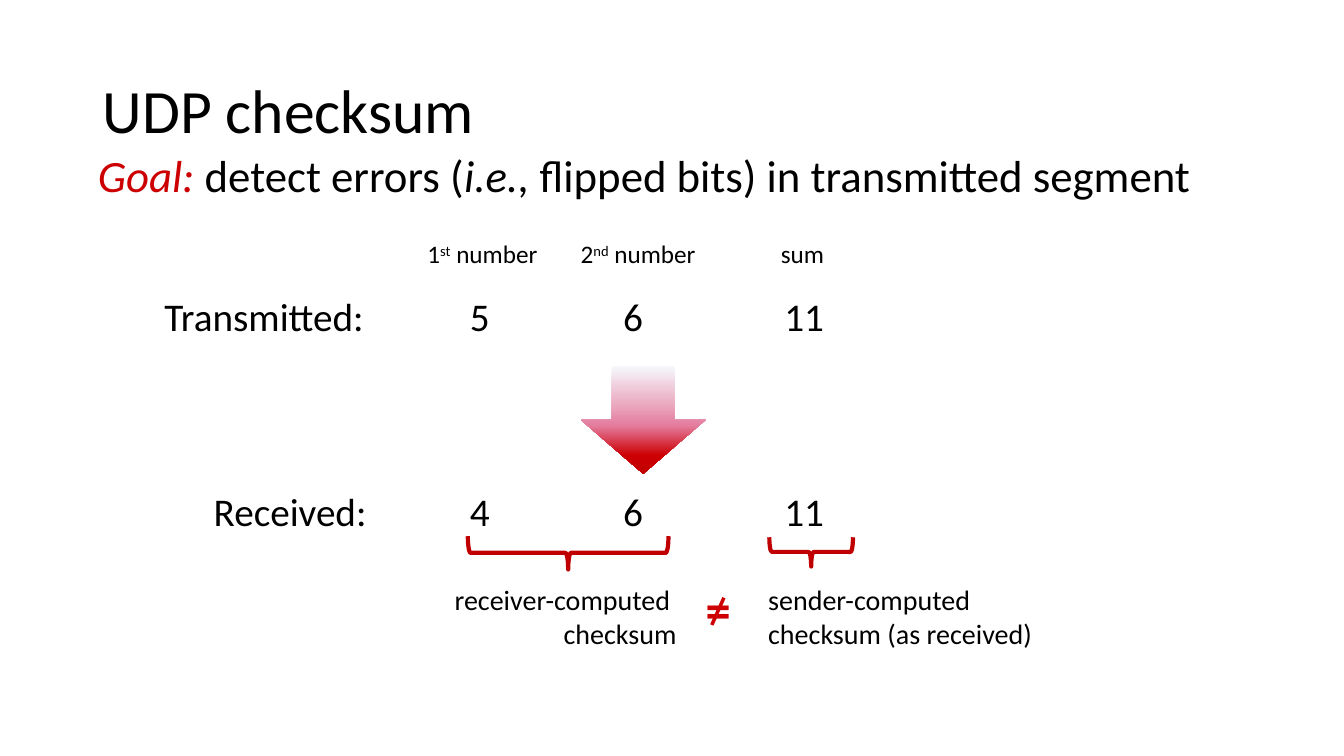
"""Build the UDP checksum slide."""
from lxml import etree
from pptx import Presentation
from pptx.dml.color import RGBColor
from pptx.enum.shapes import MSO_CONNECTOR, MSO_SHAPE
from pptx.enum.text import MSO_ANCHOR, MSO_AUTO_SIZE, PP_ALIGN
from pptx.oxml.ns import qn
from pptx.util import Inches, Pt

BLACK = RGBColor(0, 0, 0)
GOAL = RGBColor(0xCC, 0, 0)
RED = RGBColor(0xCD, 0, 0x04)
BRACE = RGBColor(0xC0, 0, 0)
FADE = [(0, RGBColor(0xF6, 0xF8, 0xFC)), (55, RGBColor(0xE4, 0x7E, 0x9F)),
        (83, RED), (100, BRACE)]
LEFT, RIGHT = PP_ALIGN.LEFT, PP_ALIGN.RIGHT
STRAIGHT = MSO_CONNECTOR.STRAIGHT
NONE, GROW = MSO_AUTO_SIZE.NONE, MSO_AUTO_SIZE.SHAPE_TO_FIT_TEXT


def write(frame, paras, size, color=BLACK, align=LEFT, **form):
    for i, runs in enumerate(paras):
        para = frame.paragraphs[0] if i == 0 else frame.add_paragraph()
        para.alignment = align
        for name, value in form.items():
            setattr(para, name, value)
        for text, extra in runs:
            run = para.add_run()
            run.text = text
            run.font.color.rgb = color
            look = {"name": "Calibri", "size": Pt(size), **extra}
            for name, value in look.items():
                if name == "color":
                    run.font.color.rgb = value
                elif name == "base":
                    run._r.get_or_add_rPr().set("baseline", str(value * 1000))
                else:
                    setattr(run.font, name, value)


def label(box, paras, size, **form):
    frame = slide.shapes.add_textbox(*map(Inches, box)).text_frame
    frame.word_wrap = False
    frame.auto_size = GROW
    write(frame, paras, size, **form)


deck = Presentation()
deck.slide_width, deck.slide_height = Inches(13.33), Inches(7.5)
slide = deck.slides.add_slide(deck.slide_layouts[1])
title, goal = slide.placeholders
for holder, box, anchor in [
    (title, (0.92, 0.4, 11.5, 1.45), MSO_ANCHOR.MIDDLE),
    (goal, (0.87, 1.5, 12.14, 0.93), MSO_ANCHOR.TOP),
]:
    holder.left, holder.top, holder.width, holder.height = map(Inches, box)
    holder.text_frame.auto_size = NONE
    holder.text_frame.vertical_anchor = anchor
write(title.text_frame, [[("UDP checksum", {})]], 44, line_spacing=0.9)
write(goal.text_frame, [[
    ("Goal:", {"color": GOAL, "italic": True}),
    (" detect errors (", {}),
    ("i.e., ", {"italic": True}),
    ("flipped bits) in transmitted segment", {}),
]], 32, line_spacing=0.85, space_before=Pt(6.4))
props = goal.text_frame.paragraphs[0]._p.get_or_add_pPr()
props.set("marL", str(Inches(0.38)))
props.set("indent", str(-Inches(0.38)))
etree.SubElement(props, qn("a:buNone"))

INSET = 0.24
STOPS = [4.66, 6.18, 7.78]
for left, top, values in [
    (1.39, 2.9, ["Transmitted:", "5", "6", "11"]),
    (1.88, 4.84, ["Received:", "4", "6", "11"]),
]:
    row = slide.shapes.add_textbox(*map(Inches, (left, top, 11.2, 0.63)))
    frame = row.text_frame
    frame.word_wrap = True
    frame.margin_left = Inches(INSET)
    write(frame, [[("\t".join(values), {})]], 28,
          line_spacing=0.9, space_before=Pt(10))
    props = frame.paragraphs[0]._p.get_or_add_pPr()
    tabs = etree.SubElement(props, qn("a:tabLst"))
    for stop in STOPS:
        place = Inches(stop - left - INSET)
        etree.SubElement(tabs, qn("a:tab"), pos=str(place), algn="l")

for left, width, digit, suffix in [(4.14, 1.32, "1", "st"),
                                   (5.66, 1.38, "2", "nd")]:
    label((left, 2.32, width, 0.4),
          [[(digit, {}), (suffix, {"base": 30}), (" number", {})]], 18)
label((7.59, 2.32, 0.69, 0.4), [[(" sum", {})]], 18)

arrow = slide.shapes.add_shape(
    MSO_SHAPE.DOWN_ARROW, *map(Inches, (5.76, 3.63, 1.24, 1.07)))
arrow.shadow.inherit = False
arrow.line.fill.background()
arrow.fill.gradient()
arrow.fill.gradient_angle = 270
stops = arrow._element.spPr.find(qn("a:gradFill")).find(qn("a:gsLst"))
for old in list(stops):
    stops.remove(old)
for place, color in FADE:
    stop = etree.SubElement(stops, qn("a:gs"), pos=str(place * 1000))
    etree.SubElement(stop, qn("a:srgbClr"), val=str(color))

for box, lines, align, span in [
    ((4.38, 5.73, 2.43, 0.77), ["receiver-computed ", "checksum"],
     RIGHT, (5.47, 4.49, 0.33, 1.99)),
    ((7.52, 5.73, 2.85, 0.77), ["sender-computed", "checksum (as received)"],
     LEFT, (7.9, 5.06, 0.29, 0.83)),
]:
    label(box, [[(line, {})] for line in lines], 20, align=align)
    brace = slide.shapes.add_shape(MSO_SHAPE.RIGHT_BRACE, *map(Inches, span))
    brace.rotation = 90
    brace.shadow.inherit = False
    brace.fill.background()
    brace.line.color.rgb = BRACE
    brace.line.width = Pt(3)

label((6.9, 5.69, 0.45, 0.71), [[("=", {"bold": True})]], 36, color=RED)
slash = slide.shapes.add_connector(
    STRAIGHT, *map(Inches, (7.18, 5.93, 7.06, 6.2)))
slash.line.color.rgb = RED
slash.line.width = Pt(2.5)
etree.SubElement(slash._element.spPr, qn("a:effectLst"))

deck.save("out.pptx")
